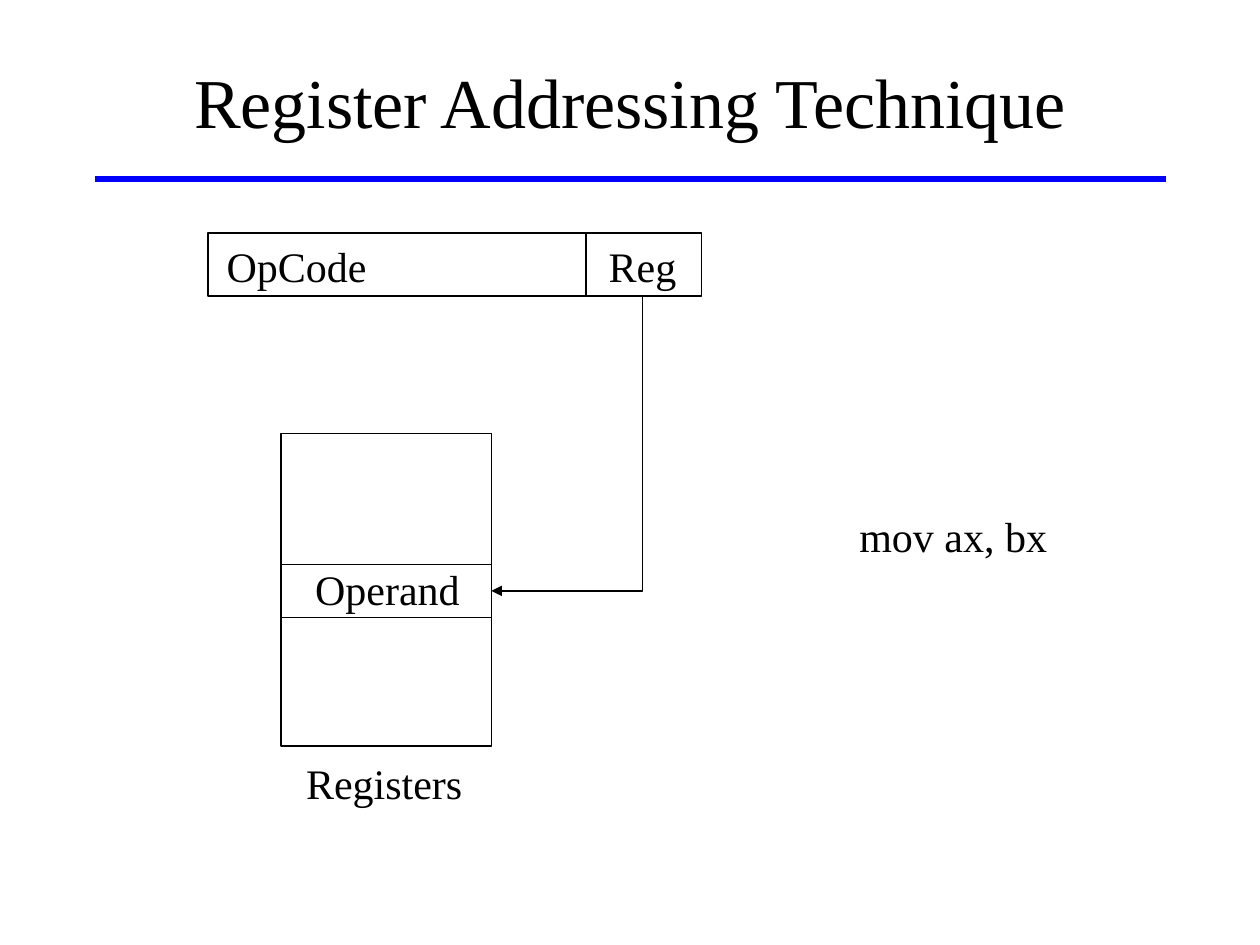
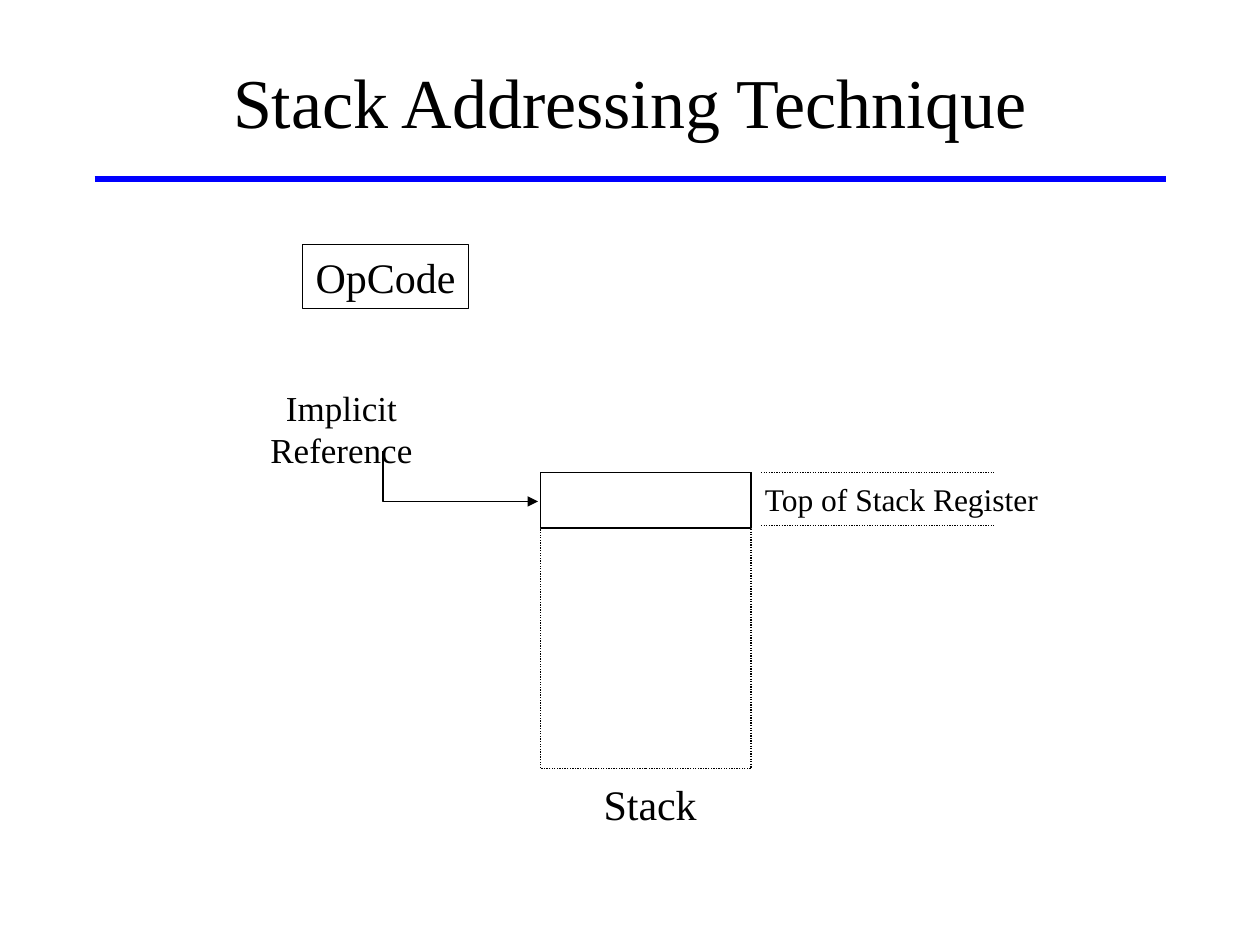
from pptx import Presentation
from pptx.dml.color import RGBColor
from pptx.enum.dml import MSO_LINE
from pptx.enum.shapes import MSO_CONNECTOR, MSO_SHAPE
from pptx.enum.text import MSO_ANCHOR, MSO_AUTO_SIZE, PP_ALIGN
from pptx.oxml.ns import qn
from pptx.util import Inches, Pt

BLACK = RGBColor(0, 0, 0)
WHITE = RGBColor(255, 255, 255)
BLUE = RGBColor(0, 0, 255)
FONT = "Times New Roman"
LEFT, CENTER = PP_ALIGN.LEFT, PP_ALIGN.CENTER
MIDDLE = MSO_ANCHOR.MIDDLE
DOTTED = MSO_LINE.ROUND_DOT  # written as sysDot
RECTANGLE = MSO_SHAPE.RECTANGLE
STRAIGHT = MSO_CONNECTOR.STRAIGHT

# Places are (left, top, width, height) in inches; items run from back to front.
SLIDES = [
    {
        "title": "Register Addressing Technique",
        "items": [
            ("box", (1.65, 1.85, 3.92, 0.5), {}),
            ("line", (4.65, 2.35, 4.65, 1.85), {}),
            ("text", (1.7, 1.86, 2.9, 0.5), {"text": "OpCode", "align": LEFT}),
            ("text", (4.65, 1.86, 0.9, 0.5), {"text": "Reg"}),
            ("text", (2.33, 5.96, 1.44, 0.5), {"text": "Registers"}),
            ("box", (2.23, 3.44, 1.67, 2.48), {"fill": WHITE}),
            ("line", (2.23, 4.48, 3.9, 4.48), {}),
            ("line", (2.23, 4.9, 3.9, 4.9), {}),
            ("text", (2.4, 4.42, 1.35, 0.5), {"text": "Operand"}),
            ("arrow", [(5.1, 2.35), (5.1, 4.69), (3.9, 4.69)], {}),
            ("text", (6.72, 4, 1.69, 0.5), {"text": "mov ax, bx"}),
        ],
    },
    {
        "title": "Stack Addressing Technique",
        "items": [
            ("box", (2.4, 1.94, 1.32, 0.51), {"text": "OpCode"}),
            ("text", (4.69, 6.13, 0.94, 0.5), {"text": "Stack"}),
            ("box", (4.29, 3.75, 1.67, 2.35), {"fill": WHITE, "dash": DOTTED}),
            ("arrow", [(3.04, 3.58), (3.04, 3.98), (4.27, 3.98)], {}),
            ("text", (2.01, 3.03, 1.4, 0.74),
             {"text": "Implicit Reference", "size": 20, "wrap": True}),
            ("box", (4.29, 3.75, 1.67, 0.44), {"fill": WHITE}),
            ("text", (5.96, 3.76, 2.39, 0.4),
             {"text": "Top of Stack Register", "size": 18}),
            ("line", (6.04, 3.75, 7.9, 3.75), {"dash": DOTTED}),
            ("line", (6.04, 4.17, 7.9, 4.17), {"dash": DOTTED}),
        ],
    },
]


def write(sp, text, size=24, align=CENTER, wrap=False):
    tf = sp.text_frame
    tf.auto_size = MSO_AUTO_SIZE.NONE
    tf.word_wrap = wrap
    tf.vertical_anchor = MIDDLE
    p = tf.paragraphs[0]
    p.alignment = align
    r = p.add_run()
    r.text = text
    r.font.name = FONT
    r.font.size = Pt(size)
    r.font.color.rgb = BLACK


def style_line(sp, color=BLACK, width=0.75, dash=None):
    sp.line.color.rgb = color
    sp.line.width = Pt(width)
    if dash:
        sp.line.dash_style = dash


def add_text(s, place, **fmt):
    write(s.shapes.add_textbox(*map(Inches, place)), **fmt)


def add_box(s, place, text=None, fill=None, dash=None):
    sp = s.shapes.add_shape(RECTANGLE, *map(Inches, place))
    sp.shadow.inherit = False
    if fill is None:
        sp.fill.background()
    else:
        sp.fill.solid()
        sp.fill.fore_color.rgb = fill
    style_line(sp, dash=dash)
    if text:
        write(sp, text)


def add_line(s, ends, **fmt):
    sp = s.shapes.add_connector(STRAIGHT, *map(Inches, ends))
    sp_pr = sp._element.spPr
    style_line(sp, **fmt)
    sp_pr.append(sp_pr.makeelement(qn("a:effectLst"), {}))


def add_arrow(s, points):
    """Draw an open bent line with an arrowhead at its last point."""
    start, *rest = [(Inches(x), Inches(y)) for x, y in points]
    builder = s.shapes.build_freeform(*start)
    builder.add_line_segments(rest, close=False)
    sp = builder.convert_to_shape()
    sp.shadow.inherit = False
    sp.fill.background()
    style_line(sp)
    ln = sp.line._get_or_add_ln()
    ln.append(ln.makeelement(qn("a:tailEnd"), {"type": "triangle"}))


def add_slide(prs, title):
    s = prs.slides.add_slide(prs.slide_layouts[5])
    add_line(s, (0.75, 1.42, 9.25, 1.42), color=BLUE, width=3)
    sp = s.shapes.title
    sp.left, sp.top, sp.width, sp.height = map(Inches, (0.75, 0.17, 8.5, 1.25))
    write(sp, title, size=40, wrap=True)
    return s


DRAW = {"text": add_text, "box": add_box, "line": add_line, "arrow": add_arrow}


def main():
    prs = Presentation()
    prs.slide_width, prs.slide_height = Inches(10), Inches(7.5)
    for content in SLIDES:
        s = add_slide(prs, content["title"])
        for kind, place, fmt in content["items"]:
            DRAW[kind](s, place, **fmt)
    prs.save("out.pptx")


if __name__ == "__main__":
    main()
